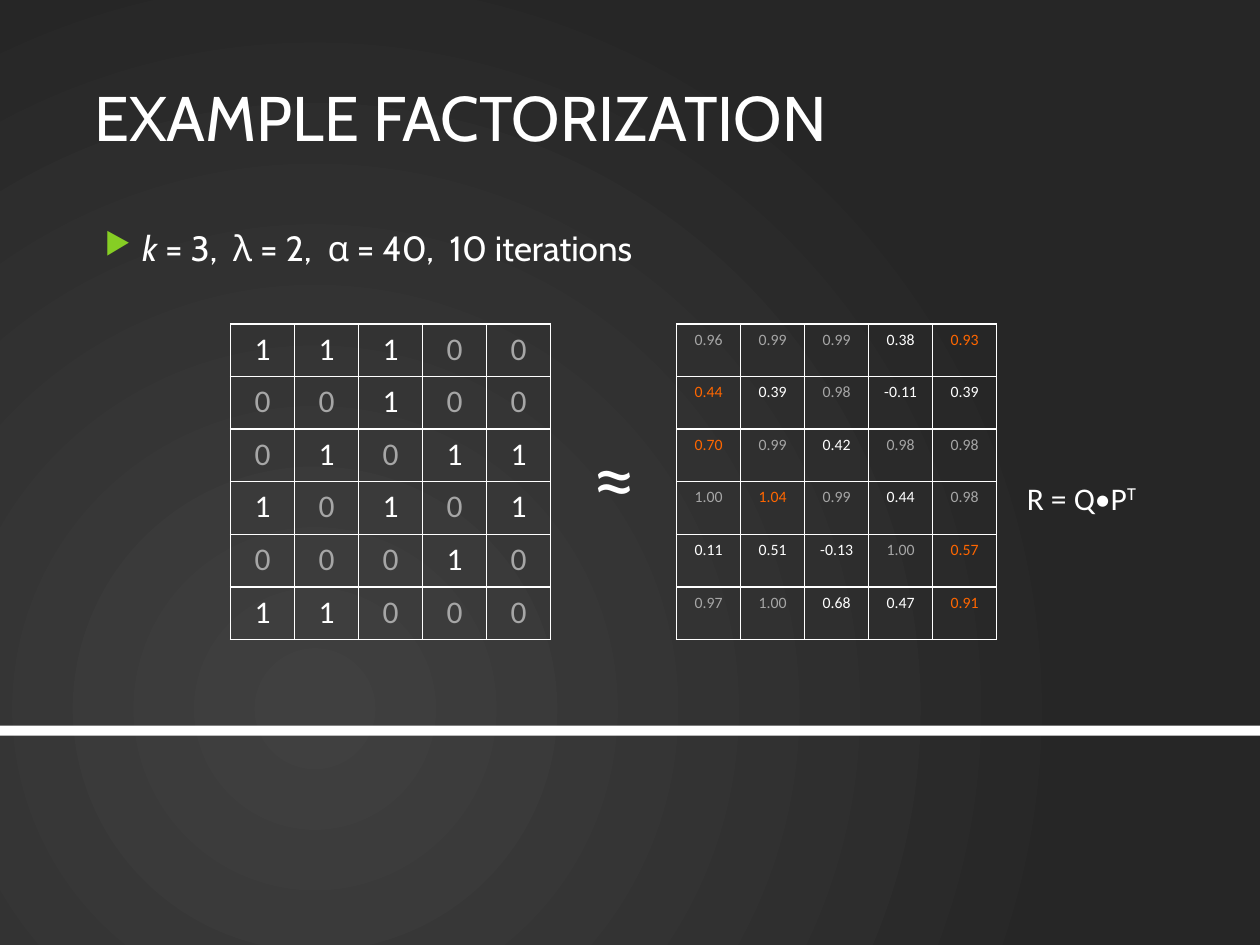
from lxml import etree
from pptx import Presentation
from pptx import util as u
from pptx.dml import color
from pptx.enum import shapes, text
from pptx.oxml import ns

HUES = {"white": "FFFFFF", "gray": "A6A6A6", "orange": "FF6600",
        "green": "86CE24", "inner": "404040", "outer": "262626"}
COL, ROW = 1.29, 1.06
SEEN = ["11100", "00100", "01011", "10101", "00010", "11000"]
GUESS = [
    "0.96 0.99 0.99 0.38 0.93",
    "0.44 0.39 0.98 -0.11 0.39",
    "0.70 0.99 0.42 0.98 0.98",
    "1.00 1.04 0.99 0.44 0.98",
    "0.11 0.51 -0.13 1.00 0.57",
    "0.97 1.00 0.68 0.47 0.91",
]


def rgb(hue):
    return color.RGBColor.from_string(HUES[hue])


def sub(root, tag, **attrs):
    return etree.SubElement(root, ns.qn(tag), **attrs)


def style(run, size, face="Calibri", hue="white"):
    run.font.size = u.Pt(size)
    run.font.name = face
    run.font.color.rgb = rgb(hue)


def paint(slide):
    fill = slide.background.fill
    fill.gradient()
    for stop, hue, place in zip(fill.gradient_stops, ("inner", "outer"), (0, 1)):
        stop.color.rgb = rgb(hue)
        stop.position = place
    grad = slide.element.find(".//" + ns.qn("a:gradFill"))
    grad.remove(grad.find(ns.qn("a:lin")))
    round_ = sub(grad, "a:path", path="circle")
    sub(round_, "a:fillToRect", l="50000", t="100000", r="100000", b="50000")


def add_bar(slide):
    bar = slide.shapes.add_shape(shapes.MSO_SHAPE.RECTANGLE, 0, u.Cm(14.63),
                                 u.Cm(25.4), u.Cm(0.2))
    bar.shadow.inherit = False
    bar.fill.solid()
    bar.fill.fore_color.rgb = rgb("white")
    bar.line.fill.background()


def add_text(slide, box, words, size, face="Calibri", wrap=False):
    frame = slide.shapes.add_textbox(*map(u.Cm, box)).text_frame
    frame.word_wrap = wrap
    if wrap:
        frame.margin_left = frame.margin_right = 0
    else:
        frame.auto_size = text.MSO_AUTO_SIZE.SHAPE_TO_FIT_TEXT
    para = frame.paragraphs[0]
    for word in words:
        run = para.add_run()
        run.text = word
        style(run, size, face)
    return frame


def add_mark(para):
    para.space_before = u.Pt(7)
    props = para._p.get_or_add_pPr()
    props.set("marL", str(u.Cm(0.97)))
    props.set("indent", str(u.Cm(-0.76)))
    sub(sub(props, "a:buClr"), "a:srgbClr", val=HUES["green"])
    sub(props, "a:buSzPct", val="85000")
    sub(props, "a:buChar", char="▶")


def edge(cell):
    props = cell._tc.get_or_add_tcPr()
    for side in "LRTB":
        line = sub(props, "a:ln" + side, w=str(u.Pt(1)))
        sub(sub(line, "a:solidFill"), "a:srgbClr", val=HUES["white"])
    cell.fill.background()


def add_grid(slide, left, rows, hues, size):
    high, wide = len(rows), len(rows[0])
    grid = slide.shapes.add_table(high, wide, u.Cm(left), u.Cm(6.53),
                                  u.Cm(wide * COL), u.Cm(high * ROW)).table
    grid.first_row = grid.horz_banding = False
    for line in grid.rows:
        line.height = u.Cm(ROW)
    for r, row in enumerate(rows):
        for c, word in enumerate(row):
            cell = grid.cell(r, c)
            edge(cell)
            para = cell.text_frame.paragraphs[0]
            para.text = word
            para.alignment = text.PP_ALIGN.CENTER
            style(para.runs[0], size, hue=hues[r][c])


def rank(seen, row):
    best = max(float(v) for s, v in zip(seen, row) if s == "0")
    return ["gray" if s == "1" else "orange" if float(v) == best else "white"
            for s, v in zip(seen, row)]


def main():
    deck = Presentation()
    deck.slide_width, deck.slide_height = u.Cm(25.4), u.Cm(19.05)
    slide = deck.slides.add_slide(deck.slide_layouts[6])
    paint(slide)
    add_bar(slide)

    title = add_text(slide, (1.9, 0.76, 21.6, 3.18),
                     ["EXAMPLE FACTORIZATION"], 36, "Cabin", True)
    title.vertical_anchor = text.MSO_ANCHOR.MIDDLE
    body = add_text(slide, (1.9, 4.45, 21.6, 3.63),
                    ["k", " = 3,  λ = 2,  α = 40,  10 iterations"],
                    20, "Cabin", True)
    body.paragraphs[0].runs[0].font.italic = True
    add_mark(body.paragraphs[0])

    tints = [["white" if s == "1" else "gray" for s in row] for row in SEEN]
    add_grid(slide, 4.65, SEEN, tints, 18)
    add_text(slide, (11.71, 8.46, 1.5, 2.31), ["≈"], 48)
    rows = [line.split() for line in GUESS]
    add_grid(slide, 13.64, rows, [rank(*pair) for pair in zip(SEEN, rows)], 9)
    note = add_text(slide, (20.45, 9.53, 2.97, 1.02), ["R = Q•P", "T"], 18)
    note.paragraphs[0].runs[1]._r.get_or_add_rPr().set("baseline", "30000")

    deck.save("out.pptx")


if __name__ == "__main__":
    main()
